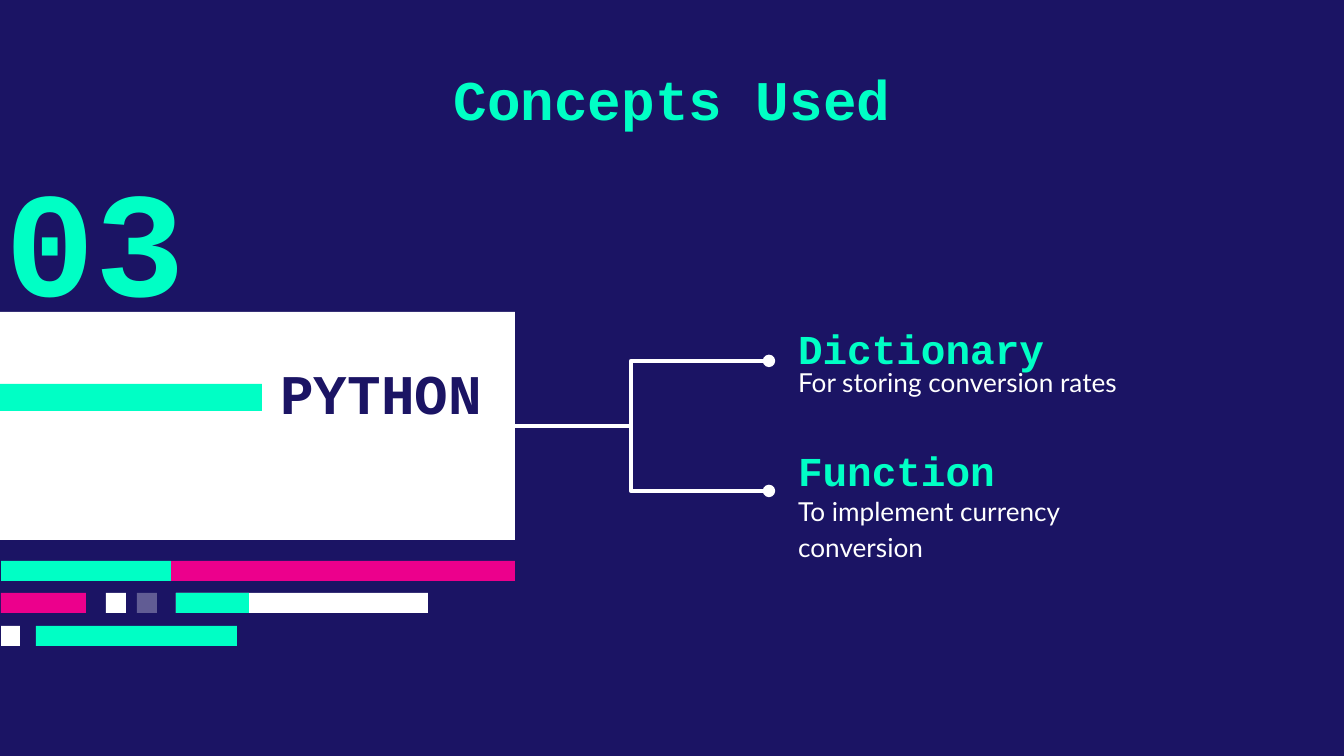
"""Build the Concepts Used slide with its Python branch diagram."""
from lxml import etree
from pptx import Presentation
from pptx.dml.color import RGBColor
from pptx.enum.shapes import MSO_CONNECTOR, MSO_SHAPE
from pptx.enum.text import MSO_ANCHOR, MSO_AUTO_SIZE, PP_ALIGN
from pptx.oxml.ns import qn
from pptx.util import Emu, Pt

RECT = MSO_SHAPE.RECTANGLE
ELBOW = MSO_CONNECTOR.ELBOW
LEFT, CENTER, RIGHT = PP_ALIGN.LEFT, PP_ALIGN.CENTER, PP_ALIGN.RIGHT
TOP, MIDDLE = MSO_ANCHOR.TOP, MSO_ANCHOR.MIDDLE
NO_FIT = MSO_AUTO_SIZE.NONE

COLORS = {"navy": "1B1464", "green": "00FFC5", "pink": "EC008C", "white": "FFFFFF"}
HEAD, BODY = "Courier New", "Lato"
SCALE = 914400 / 134.4
PAD = 13
BAR_TOP, BAR_PITCH, BAR_H = 561, 32.5, 20
BARS = [
    (0, 171, 344, "pink", None),
    (0, 1, 170, "green", None),
    (1, 176, 252, "white", None),
    (1, 176, 73, "green", None),
    (1, 1, 85, "pink", None),
    (1, 137, 20, "white", 31),
    (1, 106, 20, "white", None),
    (2, 1, 19, "white", None),
    (2, 36, 201, "green", None),
]
CONCEPTS = [
    ("Dictionary", 328, "For storing conversion rates", 362, 361),
    ("Function", 450, "To implement currency conversion", 491, 491),
]


def px(n):
    return Emu(round(n * SCALE))


def rgb(name):
    return RGBColor.from_string(COLORS[name])


def place(sp, x, y, w, h):
    sp.left, sp.top, sp.width, sp.height = px(x), px(y), px(w), px(h)


def write(sp, text, size, color, font=HEAD, align=LEFT, anchor=MIDDLE, pad_y=0, spacing=1.0):
    tf = sp.text_frame
    tf.text = text
    tf.word_wrap = True
    tf.auto_size = NO_FIT
    tf.vertical_anchor = anchor
    tf.margin_left = tf.margin_right = px(PAD)
    tf.margin_top = tf.margin_bottom = px(pad_y)
    p = tf.paragraphs[0]
    p.alignment = align
    p.line_spacing = spacing
    p.space_before = Pt(0)
    pPr = p._p.get_or_add_pPr()
    pPr.set("marL", "0")
    pPr.set("indent", "0")
    etree.SubElement(pPr, qn("a:buNone"))
    r = p.runs[0]
    r.font.name = font
    r.font.size = Pt(size)
    r.font.bold = font == HEAD
    r.font.color.rgb = rgb(color)


def add_text(slide, box, *args, **kwargs):
    write(slide.shapes.add_textbox(*map(px, box)), *args, **kwargs)


def add_rect(slide, x, y, w, h, color, alpha=None):
    sp = slide.shapes.add_shape(RECT, px(x), px(y), px(w), px(h))
    sp.shadow.inherit = False
    sp.line.fill.background()
    sp.fill.solid()
    sp.fill.fore_color.rgb = rgb(color)
    if alpha is not None:
        clr = sp._element.spPr.find(".//" + qn("a:srgbClr"))
        etree.SubElement(clr, qn("a:alpha")).set("val", str(alpha * 1000))


def add_branch(slide, x1, y1, x2, y2):
    cxn = slide.shapes.add_connector(ELBOW, px(x1), px(y1), px(x2), px(y2))
    cxn.line.color.rgb = rgb("white")
    cxn.line.width = Pt(2.25)
    etree.SubElement(cxn.line._get_or_add_ln(), qn("a:tailEnd")).set("type", "oval")
    etree.SubElement(cxn._element.spPr, qn("a:effectLst"))


def main():
    prs = Presentation()
    prs.slide_width, prs.slide_height = px(1344), px(756)
    slide = prs.slides.add_slide(prs.slide_layouts[4])
    slide.background.fill.solid()
    slide.background.fill.fore_color.rgb = rgb("navy")

    title, *bodies = [
        sp for sp in slide.placeholders if sp.placeholder_format.idx < 10
    ]
    place(title, 188, 51, 968, 98)
    write(title, "Concepts Used", 30, "green", align=CENTER, anchor=TOP, pad_y=PAD)

    add_rect(slide, 0, 312, 515, 228, "white")
    add_rect(slide, 0, 384, 262, 27, "green")
    add_text(slide, (137, 363, 358, 58), "PYTHON", 30, "navy", align=RIGHT)
    add_text(slide, (-7, 134, 403, 195), "03", 80, "green", anchor=TOP, pad_y=PAD)

    for row, x, w, color, alpha in BARS:
        add_rect(slide, x, int(BAR_TOP + row * BAR_PITCH), w, BAR_H, color, alpha)

    for i, (name, name_y, note, note_y, branch_y) in enumerate(CONCEPTS):
        head, body = bodies[2 * i:2 * i + 2]
        place(head, 785, name_y, 396, 40)
        write(head, name, 22, "green")
        place(body, 785, note_y, 396, 40)
        write(body, note, 14, "white", font=BODY, anchor=TOP, spacing=1.15)
        add_branch(slide, 493, 426, 769, branch_y)

    prs.save("out.pptx")


if __name__ == "__main__":
    main()
